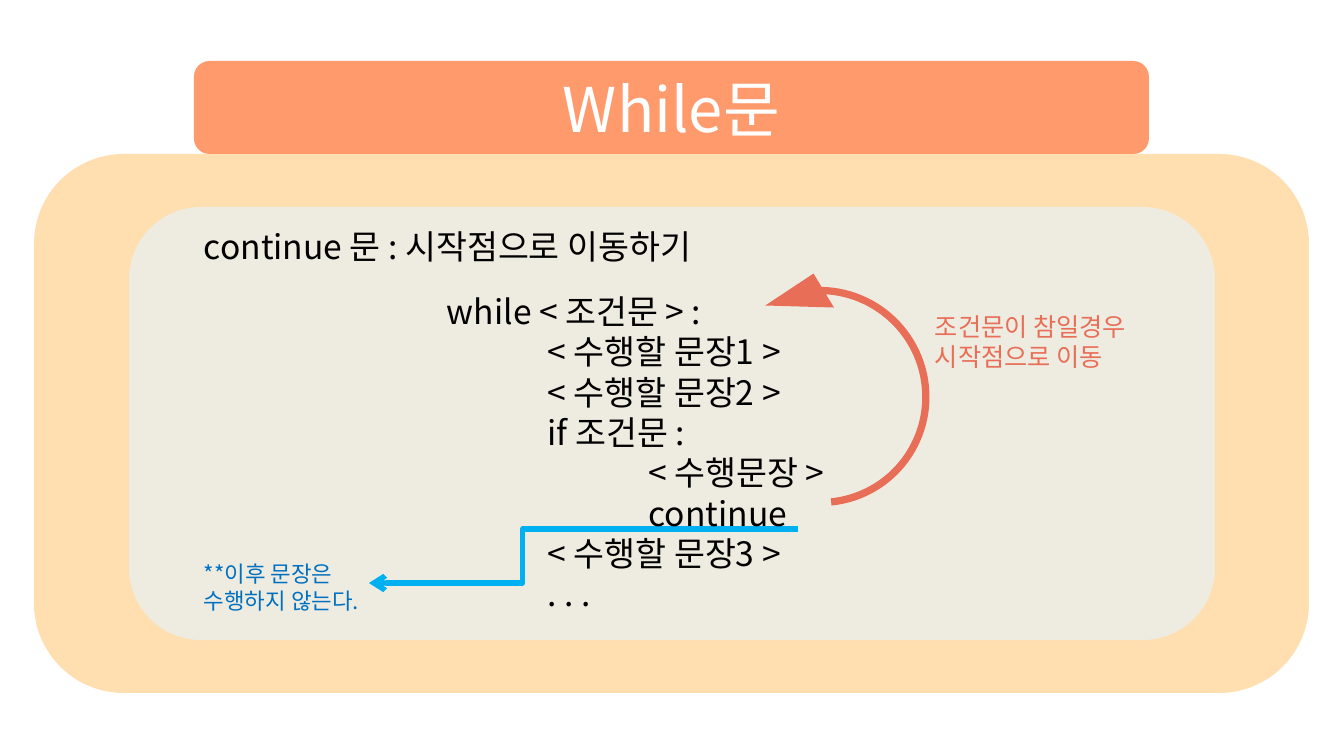
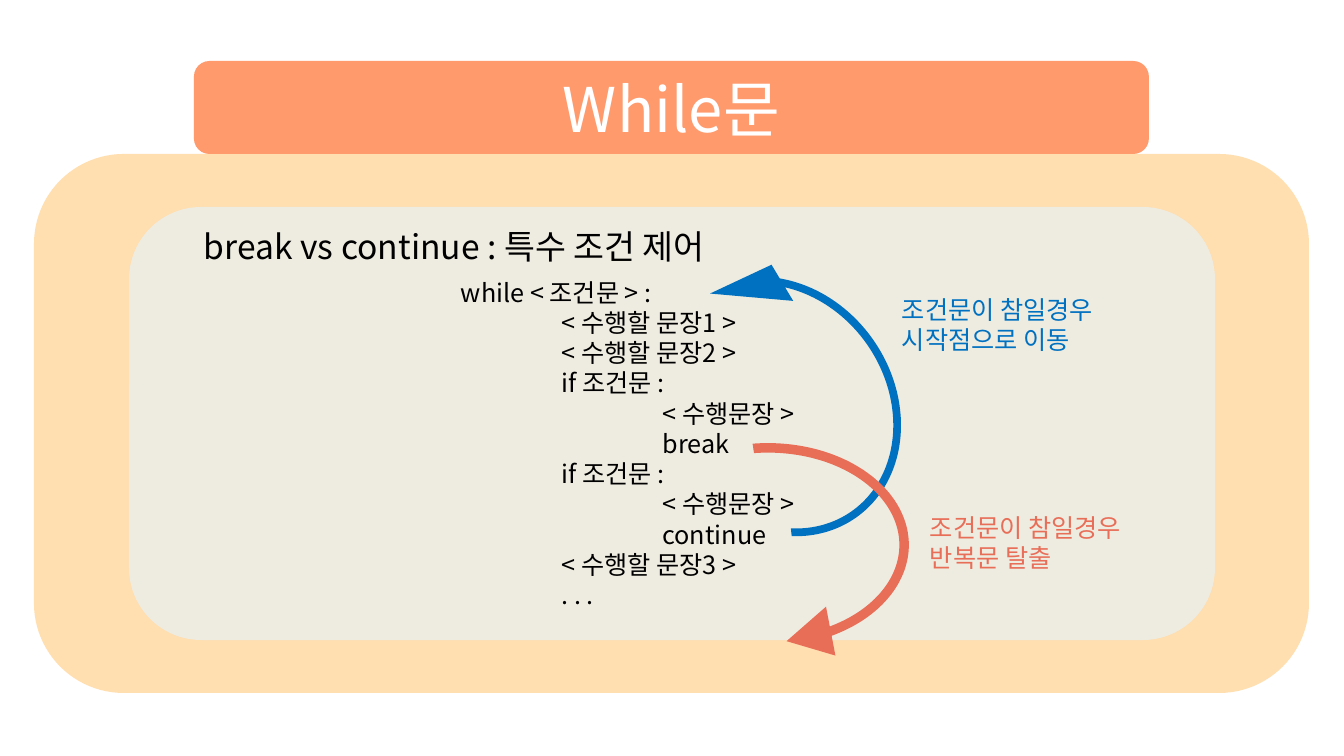
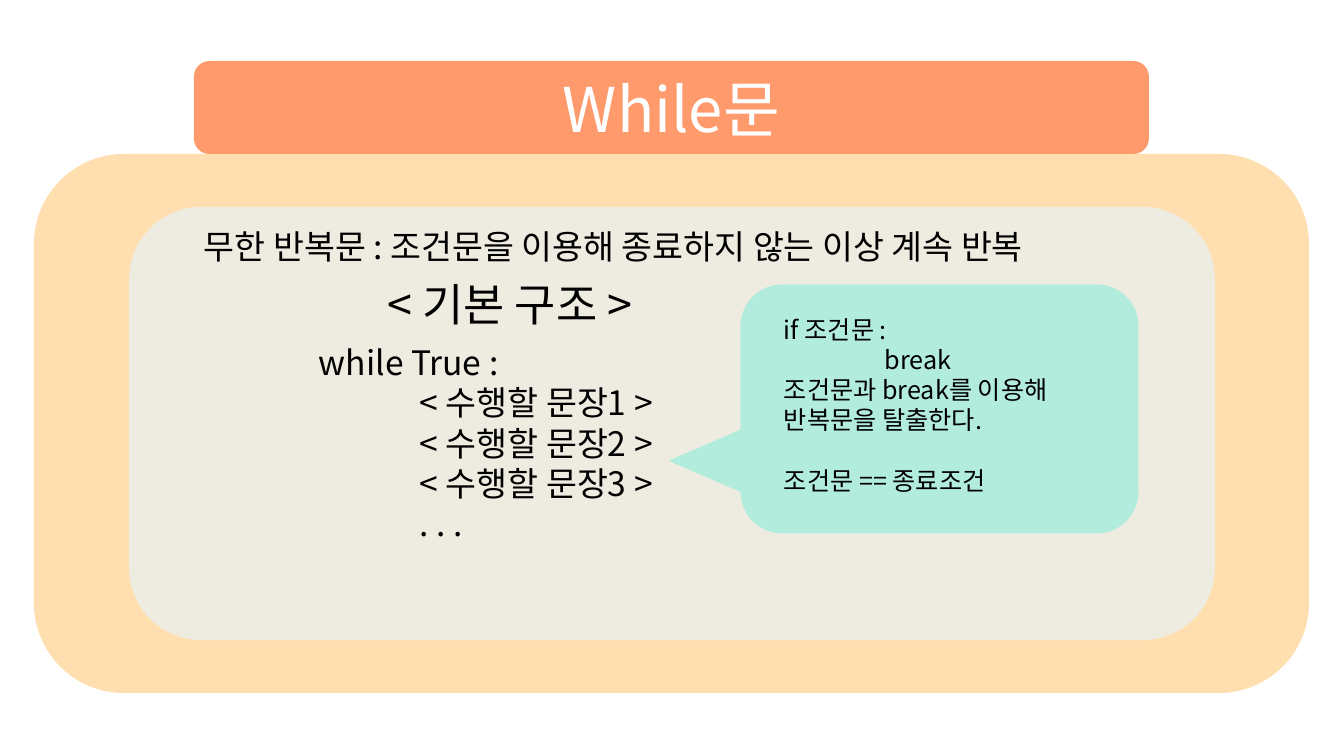
from dataclasses import dataclass

from lxml.etree import SubElement
from pptx import Presentation
from pptx.dml.color import RGBColor
from pptx.enum.shapes import MSO_CONNECTOR, MSO_SHAPE
from pptx.enum.text import MSO_ANCHOR, MSO_AUTO_SIZE, PP_ALIGN
from pptx.oxml.ns import qn
from pptx.util import Emu, Pt


@dataclass(frozen=True)
class Theme:
    font: str = "Noto Sans CJK KR"
    ink: str = "000000"
    white: str = "FFFFFF"
    title_bar: str = "FF9A6D"
    frame: str = "FFBE61"
    panel: str = "EEECE1"
    coral: str = "E86E58"
    blue: str = "0070C0"
    sky: str = "00B0F0"
    mint: str = "B2ECDD"
    title_size: int = 44
    subtitle_size: int = 32
    body_size: int = 24
    note_size: int = 18
    remark_size: int = 16
    block_gap: float = 21.6
    skip_line: float = 3.75


THEME = Theme()

# Content: boxes are (left, top, width, height) in pixels; a leading tab is one indent
TITLE = "While문"
TITLE_BOX = (194, 61, 955, 93)
FRAME_BOX = (34, 154, 1275, 539)
PANEL_BOX = (129, 207, 1086, 433)
LOOP_BEND = (0.029, 19.836, 193.853, 90.67, 0.079)
EXIT_BEND = (0.039, 15.082, 194.375, 102.806, 0.102)
BUBBLE_TAIL = (-0.208, 0.681, 0.167)
RESTART_NOTE = ["조건문이 참일경우", "시작점으로 이동"]

LOOP_START = ["while < 조건문 > :", "\t< 수행할 문장1 >", "\t< 수행할 문장2 >"]
LOOP_END = ["\t< 수행할 문장3 >", "\t. . ."]


def condition(keyword):
    return ["\tif 조건문 :", "\t\t< 수행문장 >", "\t\t" + keyword]


SLIDES = [
    dict(
        texts=[
            dict(box=(194, 221, 699, 50), lines=["continue 문 : 시작점으로 이동하기"]),
            dict(box=(437, 286, 575, 336),
                 lines=LOOP_START + condition("continue") + LOOP_END),
            dict(box=(194, 555, 195, 65), lines=["**이후 문장은", "수행하지 않는다."],
                 size=THEME.remark_size, color=THEME.blue),
            dict(box=(925, 306, 261, 72), lines=RESTART_NOTE,
                 size=THEME.note_size, color=THEME.coral),
        ],
        shapes=[
            dict(box=(694, 271, 252, 251), kind=MSO_SHAPE.CIRCULAR_ARROW, color=THEME.coral,
                 adjust=LOOP_BEND, turn=235.1, flip=True),
        ],
        skip_arrow=dict(start=(798, 529), end=(369, 583), bend=0.642),
    ),
    dict(
        texts=[
            dict(box=(194, 221, 699, 50), lines=["break vs continue : 특수 조건 제어"]),
            dict(box=(451, 272, 575, 346), size=THEME.note_size,
                 lines=LOOP_START + condition("break") + condition("continue") + LOOP_END),
            dict(box=(892, 289, 261, 72), lines=RESTART_NOTE,
                 size=THEME.note_size, color=THEME.blue),
            dict(box=(920, 507, 261, 72), lines=["조건문이 참일경우", "반복문 탈출"],
                 size=THEME.note_size, color=THEME.coral),
        ],
        shapes=[
            dict(box=(625, 273, 306, 267), kind=MSO_SHAPE.CIRCULAR_ARROW, color=THEME.blue,
                 adjust=LOOP_BEND, turn=235.1, flip=True),
            dict(box=(646, 384, 244, 322), kind=MSO_SHAPE.CIRCULAR_ARROW, color=THEME.coral,
                 adjust=EXIT_BEND, turn=90),
        ],
    ),
    dict(
        texts=[
            dict(box=(194, 221, 955, 50),
                 lines=["무한 반복문 : 조건문을 이용해 종료하지 않는 이상 계속 반복"]),
            dict(box=(309, 337, 398, 214),
                 lines=["while True :"] + LOOP_START[1:] + LOOP_END),
            dict(box=(311, 272, 398, 65), lines=["< 기본 구조 >"],
                 size=THEME.subtitle_size, align=PP_ALIGN.CENTER),
            dict(box=(774, 309, 320, 194), size=THEME.note_size, gap_before=4,
                 lines=["if 조건문 :", "\tbreak", "조건문과 break를 이용해",
                        "반복문을 탈출한다.", "조건문 == 종료조건"]),
        ],
        shapes=[
            dict(box=(815, 210, 249, 398), kind=MSO_SHAPE.ROUNDED_RECTANGULAR_CALLOUT,
                 color=THEME.mint, adjust=BUBBLE_TAIL, turn=270, flip=True),
        ],
    ),
]

# Scale: 100.8 pixels to the inch
EMU_PER_PIXEL = 914400 / 100.8
INDENT = 914400


def px(*lengths):
    return [Emu(round(length * EMU_PER_PIXEL)) for length in lengths]


# Drawing helpers
def write(frame, lines, size=THEME.body_size, color=THEME.ink, align=PP_ALIGN.LEFT,
          gap_before=None):
    frame.word_wrap = True
    for index, line in enumerate(lines):
        paragraph = frame.paragraphs[0] if index == 0 else frame.add_paragraph()
        paragraph.alignment = align
        words = line.lstrip("\t")
        depth = len(line) - len(words)
        if depth:
            properties = paragraph._p.get_or_add_pPr()
            properties.set("marL", str(depth * INDENT))
            properties.set("indent", "0")
        if index == gap_before:
            paragraph.space_before = Pt(THEME.block_gap)
        run = paragraph.add_run()
        run.text = words
        run.font.size = Pt(size)
        run.font.name = THEME.font
        run.font.color.rgb = RGBColor.from_string(color)
        SubElement(run.font._element, qn("a:ea"), typeface=THEME.font)


def add_text(slide, box, lines, **style):
    frame = slide.shapes.add_textbox(*px(*box)).text_frame
    write(frame, lines, **style)
    frame.auto_size = MSO_AUTO_SIZE.SHAPE_TO_FIT_TEXT


def add_filled(slide, box, color, kind=MSO_SHAPE.ROUNDED_RECTANGLE, adjust=(), turn=0,
               flip=False, opacity=None):
    shape = slide.shapes.add_shape(kind, *px(*box))
    shape.shadow.inherit = False
    shape.line.fill.background()
    shape.fill.solid()
    shape.fill.fore_color.rgb = RGBColor.from_string(color)
    for index, value in enumerate(adjust):
        shape.adjustments[index] = value
    shape.rotation = turn
    properties = shape.element.spPr
    if flip:
        properties.find(qn("a:xfrm")).set("flipV", "1")
    if opacity is not None:
        tint = properties.find(qn("a:solidFill")).find(qn("a:srgbClr"))
        SubElement(tint, qn("a:alpha"), val=str(opacity * 1000))
    return shape


def add_skip_arrow(slide, start, end, bend):
    arrow = slide.shapes.add_connector(MSO_CONNECTOR.ELBOW, *px(*start, *end))
    arrow.line.color.rgb = RGBColor.from_string(THEME.sky)
    arrow.line.width = Pt(THEME.skip_line)
    properties = arrow._element.spPr
    SubElement(properties.find(qn("a:ln")), qn("a:tailEnd"), type="arrow")
    SubElement(properties, qn("a:effectLst"))
    guides = properties.find(qn("a:prstGeom")).find(qn("a:avLst"))
    SubElement(guides, qn("a:gd"), name="adj1", fmla=f"val {round(bend * 100000)}")


def add_base(slide):
    title = add_filled(slide, TITLE_BOX, THEME.title_bar)
    title.text_frame.vertical_anchor = MSO_ANCHOR.MIDDLE
    write(title.text_frame, [TITLE], size=THEME.title_size, color=THEME.white,
          align=PP_ALIGN.CENTER)
    add_filled(slide, FRAME_BOX, THEME.frame, opacity=50)
    add_filled(slide, PANEL_BOX, THEME.panel)


# Build the slides
deck = Presentation()
deck.slide_width, deck.slide_height = px(1344, 756)
for content in SLIDES:
    slide = deck.slides.add_slide(deck.slide_layouts[6])
    add_base(slide)
    for shape in content["shapes"]:
        add_filled(slide, **shape)
    if "skip_arrow" in content:
        add_skip_arrow(slide, **content["skip_arrow"])
    for text in content["texts"]:
        add_text(slide, **text)
deck.save("out.pptx")
